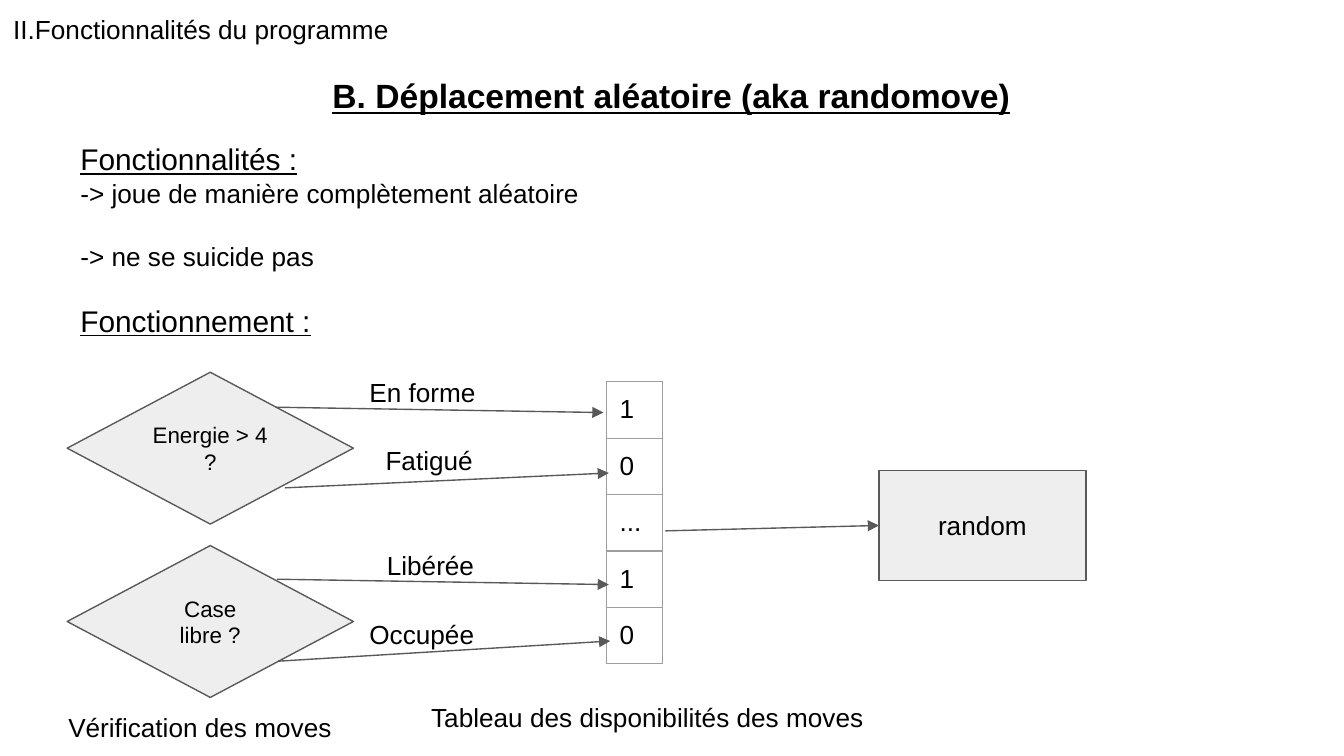
from dataclasses import dataclass

import pptx
import pptx.dml.color
import pptx.enum.shapes
import pptx.enum.text
import pptx.oxml
import pptx.oxml.ns
import pptx.util
from pptx.util import Inches


@dataclass(frozen=True)
class Theme:
    font: str = "Arial"
    text: str = "000000"
    fill: str = "EEEEEE"
    line: str = "595959"
    grid: str = "9E9E9E"
    title: int = 18
    heading: int = 16
    body: int = 14
    small: int = 12
    line_width: float = 0.75


theme = Theme()
color = pptx.dml.color.RGBColor.from_string
shapes = pptx.enum.shapes.MSO_SHAPE
namespace = pptx.oxml.ns.nsdecls("a")
PADDING = Inches(0.1)
CENTER = pptx.enum.text.PP_ALIGN.CENTER


def style(para, size, bold=False, underline=False):
    for span in para.runs:
        span.font.name = theme.font
        span.font.size = pptx.util.Pt(size)
        span.font.bold = bold
        span.font.underline = underline
        span.font.color.rgb = color(theme.text)


def write(box, text, size, **marks):
    """Fill a shape or text box with evenly padded, wrapped text."""
    frame = box.text_frame
    frame.word_wrap = True
    frame.margin_left = frame.margin_right = PADDING
    frame.margin_top = frame.margin_bottom = PADDING
    frame.text = text
    for para in frame.paragraphs:
        style(para, size, **marks)
    return frame


deck = pptx.Presentation()
deck.slide_width = Inches(10)
deck.slide_height = deck.slide_width * 9 // 16
page = deck.slides.add_slide(deck.slide_layouts[6])

# Headings, captions and arrow labels
marked = {"underline": True}
texts = [
    ("II.Fonctionnalités du programme", 0, 0, 5.33, 0.46, theme.body, {}),
    ("Fonctionnement :", 0.5, 2.15, 6.15, 0.56, theme.heading, marked),
    ("Vérification des moves", 0.41, 5.19, 2.3, 0.56, theme.body, {}),
    ("Tableau des disponibilités des moves", 3.11, 5.12, 7, 0.82, theme.body, {}),
    ("En forme", 2.65, 2.7, 1.15, 0.46, theme.body, {}),
    ("Fatigué", 2.77, 3.21, 1.05, 0.46, theme.body, {}),
    ("Libérée", 2.78, 3.99, 0.97, 0.46, theme.body, {}),
    ("Occupée", 2.65, 4.5, 1.24, 0.46, theme.body, {}),
]
for text, left, top, width, height, size, marks in texts:
    box = page.shapes.add_textbox(Inches(left), Inches(top), Inches(width), Inches(height))
    write(box, text, size, **marks)

title = page.shapes.add_textbox(Inches(1.37), Inches(0.46), Inches(7.25), Inches(0.61))
frame = write(title, "B. Déplacement aléatoire (aka randomove)", theme.title, bold=True, underline=True)
frame.paragraphs[0].alignment = CENTER

features = page.shapes.add_textbox(Inches(0.5), Inches(0.95), Inches(7.14), Inches(1.13))
frame = write(
    features,
    "Fonctionnalités :\n-> joue de manière complètement aléatoire\n-> ne se suicide pas",
    theme.body,
)
style(frame.paragraphs[0], theme.heading, underline=True)
frame.paragraphs[2].space_before = pptx.util.Pt(17)

# Flowchart nodes
nodes = [
    ("Energie > 4 ?", shapes.FLOWCHART_DECISION, 0.5, 2.77, 2.13, 1.13, theme.small),
    ("Case libre ?", shapes.FLOWCHART_DECISION, 0.5, 4.06, 2.13, 1.13, theme.small),
    ("random", shapes.FLOWCHART_PROCESS, 6.54, 3.5, 1.54, 0.82, theme.body),
]
for text, kind, left, top, width, height, size in nodes:
    node = page.shapes.add_shape(kind, Inches(left), Inches(top), Inches(width), Inches(height))
    node.shadow.inherit = False
    node.fill.solid()
    node.fill.fore_color.rgb = color(theme.fill)
    node.line.color.rgb = color(theme.line)
    node.line.width = pptx.util.Pt(theme.line_width)
    frame = write(node, text, size)
    frame.vertical_anchor = pptx.enum.text.MSO_ANCHOR.MIDDLE
    frame.paragraphs[0].alignment = CENTER

# Availability table; the smaller bottom margin keeps the rows square
availability = ["1", "0", "...", "1", "0"]
side = Inches(0.42)
table = page.shapes.add_table(
    len(availability), 1, Inches(4.51), Inches(2.84), side, side * len(availability)
).table
table.first_row = table.horz_banding = False
table.columns[0].width = side
for row, value in enumerate(availability):
    table.rows[row].height = side
    cell = table.cell(row, 0)
    cell.margin_left = cell.margin_right = cell.margin_top = PADDING
    cell.margin_bottom = Inches(0.08)
    cell.text = value
    style(cell.text_frame.paragraphs[0], theme.body)
    properties = cell._tc.get_or_add_tcPr()
    for edge in ("lnL", "lnR", "lnT", "lnB"):
        properties.append(pptx.oxml.parse_xml(
            f'<a:{edge} {namespace} w="{pptx.util.Pt(theme.line_width)}">'
            f'<a:solidFill><a:srgbClr val="{theme.grid}"/></a:solidFill></a:{edge}>'
        ))
    cell.fill.background()

# Arrows
arrows = [
    (2.05, 3.03, 4.49, 3.07),
    (2.12, 3.63, 4.53, 3.52),
    (2.06, 4.31, 4.53, 4.35),
    (2.07, 4.92, 4.54, 4.77),
    (4.95, 3.95, 6.54, 3.91),
]
for ends in arrows:
    arrow = page.shapes.add_connector(
        pptx.enum.shapes.MSO_CONNECTOR.STRAIGHT, *map(Inches, ends)
    )
    arrow.line.color.rgb = color(theme.line)
    arrow.line.width = pptx.util.Pt(theme.line_width)
    arrow.line._get_or_add_ln().append(
        pptx.oxml.parse_xml(f'<a:tailEnd {namespace} type="triangle"/>')
    )
    arrow._element.spPr.append(pptx.oxml.parse_xml(f"<a:effectLst {namespace}/>"))

deck.save("out.pptx")
